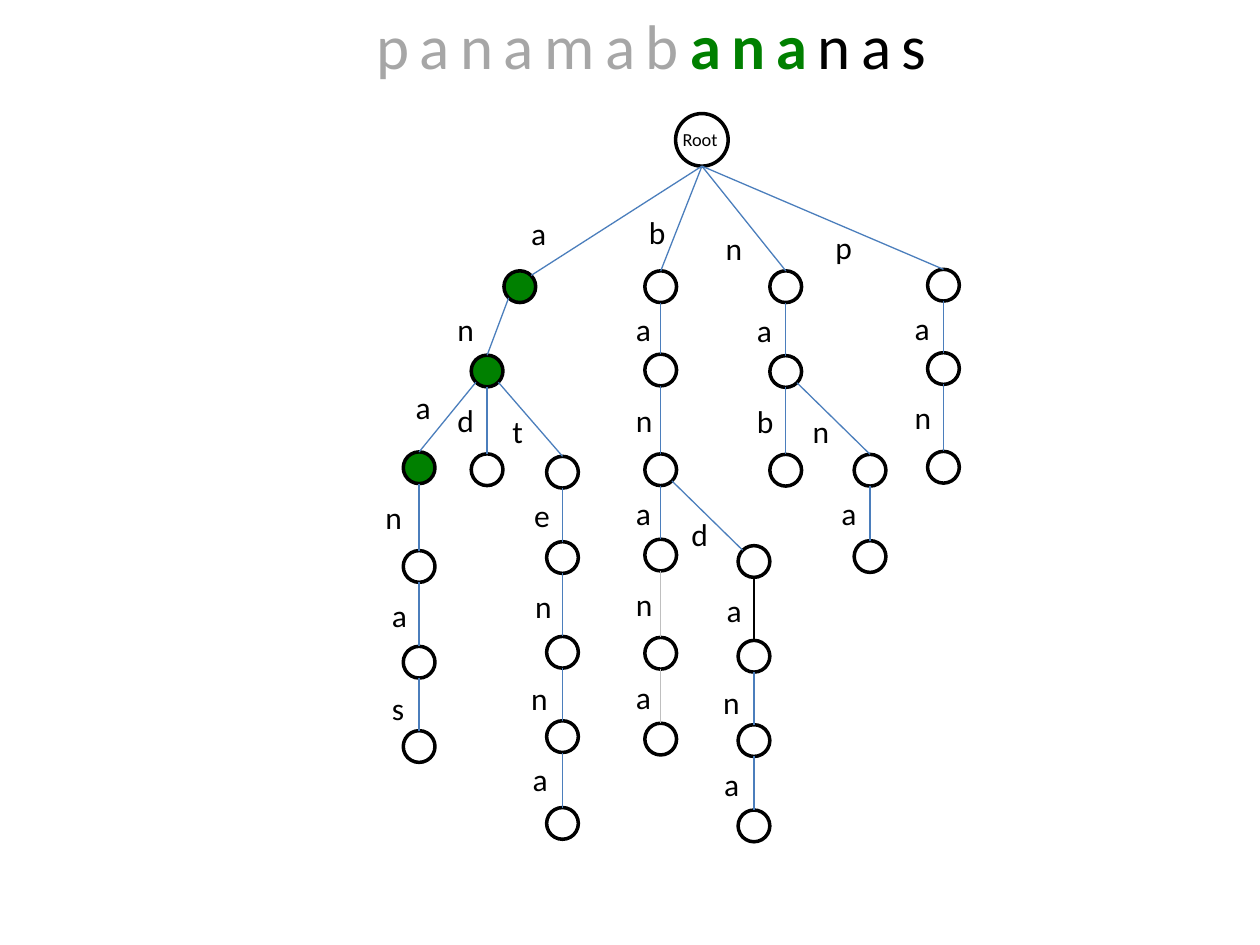
from dataclasses import dataclass
from math import sqrt

from lxml import etree
from pptx import Presentation
from pptx import util as u
from pptx.dml.color import RGBColor
from pptx.enum import shapes, text
from pptx.oxml.ns import qn


@dataclass(frozen=True)
class Theme:
    font: str = "Calibri"
    black: str = "000000"
    white: str = "FFFFFF"
    green: str = "008000"
    grey: str = "A6A6A6"
    pale: str = "BFBFBF"
    blue: str = "4B7EBC"
    title_size: float = 36
    label_size: float = 18
    root_size: float = 10.5
    title_spacing: float = 6
    node_line: float = 2
    edge_line: float = 0.75


NODE_SIZE = 0.64
ROOT_SIZE = 1.06
LABEL_HEIGHT = 1.02
LABEL_WIDTHS = {"a": 0.81, "e": 0.84, "s": 0.76, "t": 0.74}
WIDE_LABEL = 0.86
ROOT = (14.15, 2.82)

# Prefix: node centre x, y, then label left, top (cm)
TRIE = {
    "a": (10.48, 5.78, 10.46, 4.19),
    "an": (9.82, 7.48, 8.97, 6.12),
    "ana": (8.45, 9.43, 8.13, 7.7),
    "anan": (8.45, 11.42, 7.52, 9.91),
    "anana": (8.45, 13.35, 7.65, 11.89),
    "ananas": (8.45, 15.05, 7.65, 13.77),
    "and": (9.82, 9.47, 8.97, 7.95),
    "ant": (11.34, 9.52, 10.08, 8.18),
    "ante": (11.34, 11.24, 10.52, 9.88),
    "anten": (11.34, 13.15, 10.54, 11.71),
    "antenn": (11.34, 14.85, 10.46, 13.56),
    "antenna": (11.34, 16.6, 10.49, 15.19),
    "b": (13.32, 5.78, 12.83, 4.17),
    "ba": (13.32, 7.46, 12.57, 6.12),
    "ban": (13.32, 9.47, 12.57, 7.95),
    "bana": (13.32, 11.19, 12.57, 9.83),
    "banan": (13.32, 13.17, 12.57, 11.66),
    "banana": (13.32, 14.9, 12.57, 13.54),
    "band": (15.2, 11.32, 13.69, 10.26),
    "banda": (15.2, 13.23, 14.4, 11.79),
    "bandan": (15.2, 14.93, 14.33, 13.64),
    "bandana": (15.2, 16.65, 14.35, 15.29),
    "n": (15.84, 5.78, 14.38, 4.5),
    "na": (15.84, 7.49, 15.01, 6.15),
    "nab": (15.84, 9.48, 15.01, 7.98),
    "nan": (17.54, 9.48, 16.13, 8.18),
    "nana": (17.54, 11.22, 16.71, 9.83),
    "p": (19.02, 5.75, 16.59, 4.47),
    "pa": (19.02, 7.43, 18.19, 6.1),
    "pan": (19.02, 9.42, 18.19, 7.9),
}
MATCHED = {"a", "an", "ana"}
# Edges that reach the side of their node rather than its top
SIDE_ENTRY = {"a", "band"}


class SlideBuilder:
    def __init__(self, slide, theme):
        self.slide = slide
        self.theme = theme

    def style(self, font, size, color, bold=False):
        font.name = self.theme.font
        font.size = u.Pt(size)
        font.bold = bold
        font.color.rgb = RGBColor.from_string(color)

    def title(self, left, top, width, height, parts):
        shape = self.slide.shapes.title
        shape.left, shape.top = u.Cm(left), u.Cm(top)
        shape.width, shape.height = u.Cm(width), u.Cm(height)
        frame = shape.text_frame
        frame.vertical_anchor = text.MSO_ANCHOR.TOP
        frame.auto_size = text.MSO_AUTO_SIZE.SHAPE_TO_FIT_TEXT
        paragraph = frame.paragraphs[0]
        paragraph.alignment = text.PP_ALIGN.CENTER
        for words, color, bold in parts:
            run = paragraph.add_run()
            run.text = words
            self.style(run.font, self.theme.title_size, color, bold)
            run.font._element.set("spc", str(int(self.theme.title_spacing * 100)))

    def node(self, x, y, size, fill):
        corner = u.Cm(x - size / 2), u.Cm(y - size / 2)
        shape = self.slide.shapes.add_shape(
            shapes.MSO_SHAPE.OVAL, *corner, u.Cm(size), u.Cm(size))
        shape.shadow.inherit = False
        shape.fill.solid()
        shape.fill.fore_color.rgb = RGBColor.from_string(fill)
        shape.line.color.rgb = RGBColor.from_string(self.theme.black)
        shape.line.width = u.Pt(self.theme.node_line)

    def edge(self, start, end, color):
        line = self.slide.shapes.add_connector(
            shapes.MSO_CONNECTOR.STRAIGHT, *(u.Cm(value) for value in start + end))
        line.line.color.rgb = RGBColor.from_string(color)
        line.line.width = u.Pt(self.theme.edge_line)
        etree.SubElement(line._element.spPr, qn("a:effectLst"))

    def label(self, left, top, width, height, words, size, wrap=False):
        box = self.slide.shapes.add_textbox(
            u.Cm(left), u.Cm(top), u.Cm(width), u.Cm(height))
        frame = box.text_frame
        frame.word_wrap = wrap
        frame.auto_size = text.MSO_AUTO_SIZE.SHAPE_TO_FIT_TEXT
        paragraph = frame.paragraphs[0]
        paragraph.text = words
        self.style(paragraph.font, size, self.theme.black)


def edge_ends(prefix):
    """Return where the edge into a node leaves its parent and arrives."""
    x, y = TRIE[prefix][:2]
    parent = prefix[:-1]
    radius = NODE_SIZE / 2
    diagonal = radius / sqrt(2)
    parent_x, parent_y = TRIE[parent][:2] if parent else ROOT
    side = (x > parent_x) - (x < parent_x)

    if not parent:
        start = (parent_x, parent_y + ROOT_SIZE / 2)
    elif side:
        start = (parent_x + side * diagonal, parent_y + diagonal)
    else:
        start = (parent_x, parent_y + radius)
    if prefix in SIDE_ENTRY:
        return start, (x - side * diagonal, y - diagonal)
    return start, (x, y - radius)


def main():
    theme = Theme()
    presentation = Presentation()
    presentation.slide_width, presentation.slide_height = u.Cm(25.4), u.Cm(19.05)
    slide = presentation.slides.add_slide(presentation.slide_layouts[5])
    builder = SlideBuilder(slide, theme)

    # Text being scanned, with the current match in green
    builder.title(6.78, 0, 12.7, 1.8, [
        ("panamab", theme.grey, False),
        ("ana", theme.green, True),
        ("nas", theme.black, False),
    ])

    # Root
    builder.node(*ROOT, ROOT_SIZE, theme.white)
    builder.label(13.51, 2.46, 1.4, 0.71, "Root", theme.root_size, wrap=True)

    # Trie: each prefix has a node, an edge from its parent and a letter
    edge_colors = {"banan": theme.pale, "banana": theme.pale, "banda": theme.black}
    for prefix, (x, y, left, top) in TRIE.items():
        letter = prefix[-1]
        builder.node(x, y, NODE_SIZE, theme.green if prefix in MATCHED else theme.white)
        builder.edge(*edge_ends(prefix), edge_colors.get(prefix, theme.blue))
        builder.label(left, top, LABEL_WIDTHS.get(letter, WIDE_LABEL), LABEL_HEIGHT,
                      letter, theme.label_size)

    presentation.save("out.pptx")


if __name__ == "__main__":
    main()
